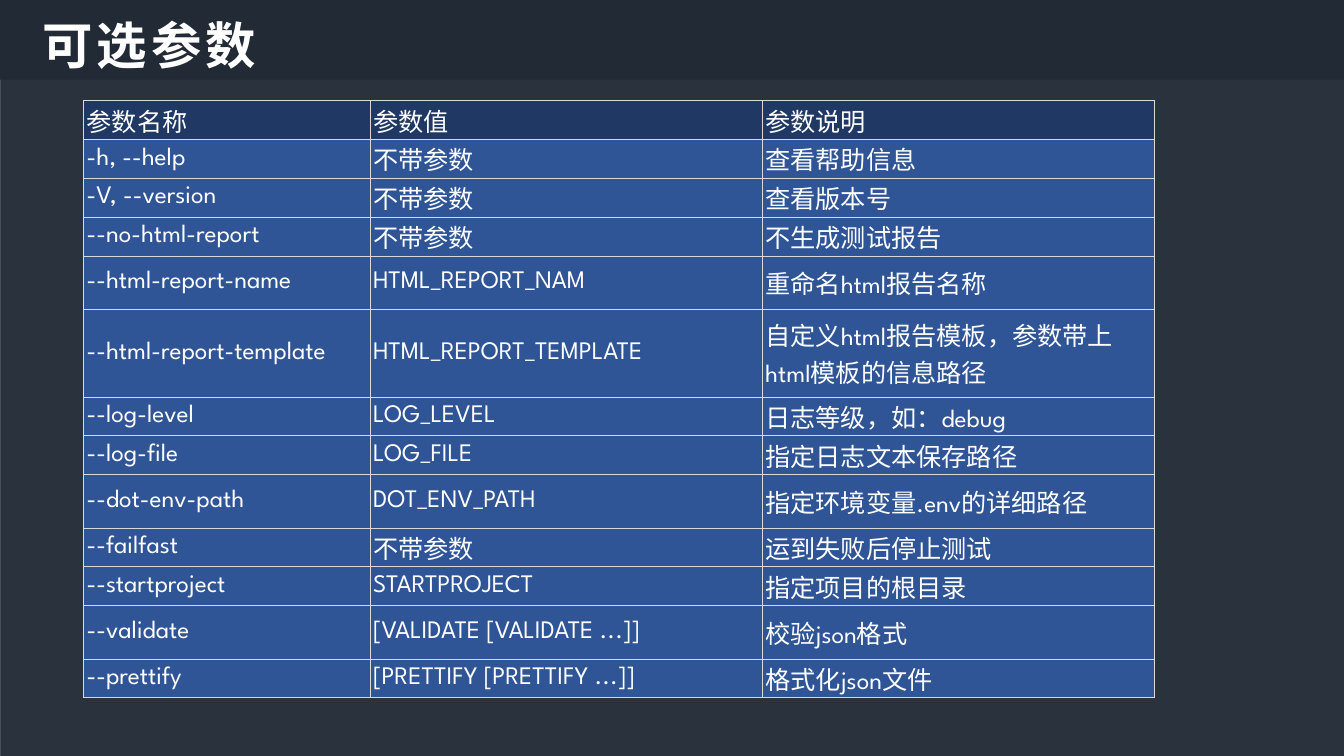
"""Build the slide that lists the optional command-line parameters."""
from lxml import etree
from pptx import Presentation
from pptx.dml.color import RGBColor
from pptx.enum import shapes, text
from pptx.oxml import ns
from pptx.util import Inches, Pt

COLORS = {"night": "222A35", "header": "203864", "body": "2F5597",
          "border": "D9D9D9", "white": "FFFFFF"}
FONT = "League Spartan"


def write(frame, words, size=18, bold=False, spacing=0):
    paragraph = frame.paragraphs[0]
    paragraph.alignment = text.PP_ALIGN.LEFT
    run = paragraph.add_run()
    run.text = words
    run.font.name = FONT
    run.font.size = Pt(size)
    run.font.bold = bold
    run.font.color.rgb = RGBColor.from_string(COLORS["white"])
    if spacing:
        run.font._element.set("spc", str(spacing * 100))


def add_border(cell):
    properties = cell._tc.get_or_add_tcPr()
    for side in ("a:lnL", "a:lnR", "a:lnT", "a:lnB"):
        line = etree.SubElement(properties, ns.qn(side), w=str(Pt(0.5)))
        fill = etree.SubElement(line, ns.qn("a:solidFill"))
        etree.SubElement(fill, ns.qn("a:srgbClr"), val=COLORS["border"])


prs = Presentation()
prs.slide_width = Inches(13.33)
prs.slide_height = Inches(7.5)
slide = prs.slides.add_slide(prs.slide_layouts[5])

backdrops = [
    (0, -0.01, 13.36, 7.51, 80),
    (0.01, 0, 13.33, 7.5, 80),
    (0, 0, 13.33, 0.79, 100),
]
for left, top, width, height, opacity in backdrops:
    backdrop = slide.shapes.add_shape(
        shapes.MSO_SHAPE.RECTANGLE,
        Inches(left), Inches(top), Inches(width), Inches(height))
    backdrop.shadow.inherit = False
    backdrop.line.fill.background()
    backdrop.fill.solid()
    backdrop.fill.fore_color.rgb = RGBColor.from_string(COLORS["night"])
    if opacity < 100:
        shade = backdrop.element.spPr.find(".//" + ns.qn("a:srgbClr"))
        etree.SubElement(shade, ns.qn("a:alpha"), val=str(opacity * 1000))

heading = slide.shapes.title
heading.element.getparent().append(heading.element)
heading.left, heading.top = Inches(0.32), Inches(0.09)
heading.width, heading.height = Inches(3.17), Inches(0.71)
heading.text_frame.word_wrap = True
heading.text_frame.auto_size = text.MSO_AUTO_SIZE.SHAPE_TO_FIT_TEXT
heading.text_frame.vertical_anchor = text.MSO_ANCHOR.TOP
write(heading.text_frame, "可选参数", size=36, bold=True, spacing=3)

NO_VALUE = "不带参数"
parameters = [
    ("参数名称", "参数值", "参数说明"),
    ("-h, --help", NO_VALUE, "查看帮助信息"),
    ("-V, --version", NO_VALUE, "查看版本号"),
    ("--no-html-report", NO_VALUE, "不生成测试报告"),
    ("--html-report-name", "HTML_REPORT_NAM", "重命名html报告名称"),
    ("--html-report-template", "HTML_REPORT_TEMPLATE",
     "自定义html报告模板，参数带上html模板的信息路径"),
    ("--log-level", "LOG_LEVEL", "日志等级，如：debug"),
    ("--log-file", "LOG_FILE", "指定日志文本保存路径"),
    ("--dot-env-path", "DOT_ENV_PATH", "指定环境变量.env的详细路径"),
    ("--failfast", NO_VALUE, "运到失败后停止测试"),
    ("--startproject", "STARTPROJECT", "指定项目的根目录"),
    ("--validate", "[VALIDATE [VALIDATE ...]]", "校验json格式"),
    ("--prettify", "[PRETTIFY [PRETTIFY ...]]", "格式化json文件"),
]
column_widths = [2.84, 3.89, 3.89]
tall_rows = {4: 0.53, 5: 0.87, 8: 0.53, 11: 0.53}

options = slide.shapes.add_table(
    len(parameters), len(column_widths),
    Inches(0.83), Inches(1), Inches(10.62), Inches(5.94)).table
options.first_row = False
options.horz_banding = False
for column, width in zip(options.columns, column_widths):
    column.width = Inches(width)

for row, entries in enumerate(parameters):
    options.rows[row].height = Inches(tall_rows.get(row, 0.385))
    for column, words in enumerate(entries):
        cell = options.cell(row, column)
        cell.margin_left = cell.margin_right = Inches(0.03)
        cell.margin_top = cell.margin_bottom = Inches(0.01)
        cell.vertical_anchor = text.MSO_ANCHOR.MIDDLE
        add_border(cell)
        cell.fill.solid()
        cell.fill.fore_color.rgb = RGBColor.from_string(
            COLORS["body" if row else "header"])
        write(cell.text_frame, words)

prs.save("out.pptx")
